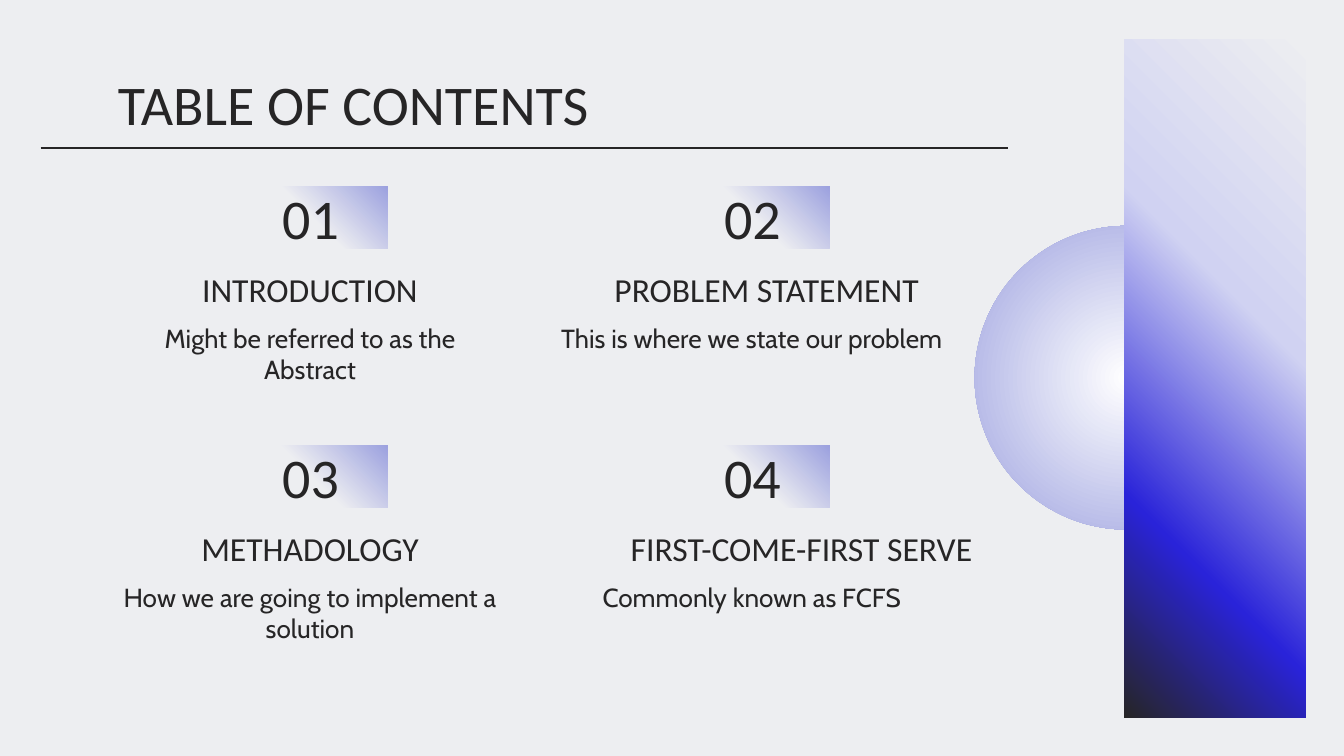
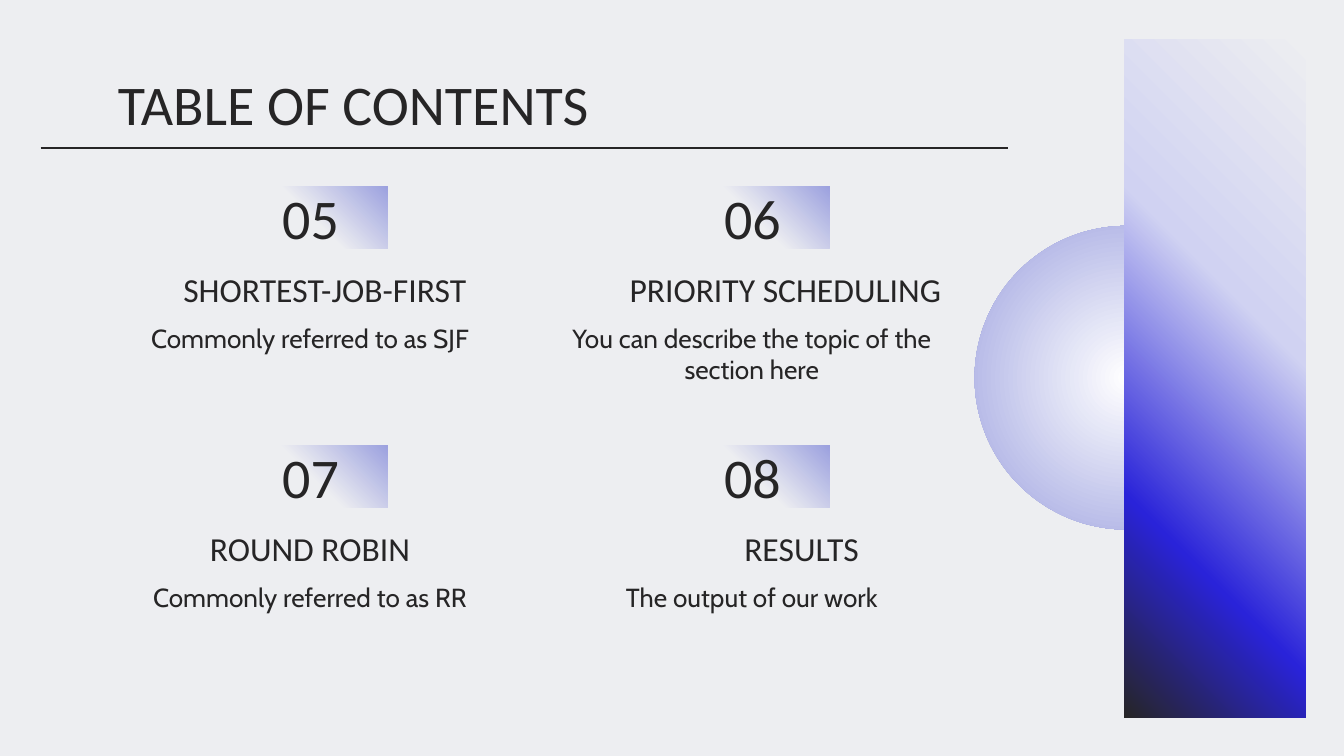
"""Build two table of contents slides with numbered sections."""
from lxml.etree import SubElement
from pptx import Presentation
from pptx.dml.color import RGBColor
from pptx.enum.shapes import MSO_CONNECTOR, MSO_SHAPE
from pptx.enum.text import MSO_ANCHOR, PP_ALIGN
from pptx.oxml import parse_xml
from pptx.oxml.ns import nsdecls, qn
from pptx.util import Cm, Pt

BACKGROUND = "EDEEF1"
INK = "262526"
LAVENDER = "9CA1DF"
HEADING_FONT = "Calibri"
BODY_FONT = "Cabin"

TILE_STOPS = [(0, BACKGROUND), (50, BACKGROUND), (100, LAVENDER)]
BAR_STOPS = [(0, BACKGROUND), (38, "D0D2F2"), (74, "2923D9"), (100, INK)]
CIRCLE_STOPS = [(0, "FFFFFF"), (100, LAVENDER)]

COLUMN_LEFT, COLUMN_PITCH, COLUMN_WIDTH = 1.96, 8.35, 7.8
ROW_PITCH = 4.9

CONTENTS = [
    [
        ("INTRODUCTION", "Might be referred to as the Abstract", COLUMN_WIDTH),
        ("PROBLEM STATEMENT", "This is where we state our problem", 8.36),
        ("METHADOLOGY", "How we are going to implement a solution", COLUMN_WIDTH),
        ("FIRST-COME-FIRST SERVE", "Commonly known as FCFS", 9.68),
    ],
    [
        ("SHORTEST-JOB-FIRST", "Commonly referred to as SJF", 8.36),
        ("PRIORITY SCHEDULING", "You can describe the topic of the section here", 9.07),
        ("ROUND ROBIN", "Commonly referred to as RR", COLUMN_WIDTH),
        ("RESULTS", "The output of our work", 9.68),
    ],
]


def fill_gradient(shape, stops, angle=None):
    """Fill a shape with a linear gradient, or a radial one when no angle is given."""
    stop_xml = "".join(
        f'<a:gs pos="{position * 1000}"><a:srgbClr val="{color}"/></a:gs>'
        for position, color in stops
    )
    if angle is None:
        direction = ('<a:path path="circle"><a:fillToRect l="50000" t="50000" '
                     'r="50000" b="50000"/></a:path>')
    else:
        direction = f'<a:lin ang="{angle * 60000}" scaled="0"/>'
    shape.shadow.inherit = False
    shape.line.fill.background()
    shape.fill.background()
    properties = shape._element.spPr
    properties.replace(properties.find(qn("a:noFill")), parse_xml(
        f'<a:gradFill {nsdecls("a")} rotWithShape="1">'
        f'<a:gsLst>{stop_xml}</a:gsLst>{direction}</a:gradFill>'
    ))


def write_text(shape, text, size, font=HEADING_FONT, alignment=PP_ALIGN.CENTER,
               anchor=MSO_ANCHOR.TOP):
    """Write one formatted paragraph into a shape."""
    frame = shape.text_frame
    frame.word_wrap = True
    frame.vertical_anchor = anchor
    frame.margin_left = frame.margin_right = Cm(0.25)
    frame.margin_top = frame.margin_bottom = Cm(0.25)
    frame.text = text
    paragraph = frame.paragraphs[0]
    paragraph.alignment = alignment
    run_font = paragraph.runs[0].font
    run_font.name = font
    run_font.size = Pt(size)
    run_font.color.rgb = RGBColor.from_string(INK)


presentation = Presentation()
presentation.slide_width = Cm(25.4)
presentation.slide_height = Cm(14.29)

for slide_index, sections in enumerate(CONTENTS):
    slide = presentation.slides.add_slide(presentation.slide_layouts[6])
    slide.background.fill.solid()
    slide.background.fill.fore_color.rgb = RGBColor.from_string(BACKGROUND)
    shapes = slide.shapes

    circle = shapes.add_shape(MSO_SHAPE.OVAL, Cm(18.42), Cm(4.27), Cm(5.74), Cm(5.74))
    fill_gradient(circle, CIRCLE_STOPS)

    title = shapes.add_textbox(Cm(1.98), Cm(1.07), Cm(21.44), Cm(1.6))
    write_text(title, "TABLE OF CONTENTS", 30, alignment=PP_ALIGN.LEFT)

    for section_index, (heading, description, heading_width) in enumerate(sections):
        row, column = divmod(section_index, 2)
        left = COLUMN_LEFT + column * COLUMN_PITCH
        row_offset = row * ROW_PITCH
        number = slide_index * len(sections) + section_index + 1

        description_box = shapes.add_textbox(
            Cm(left), Cm(5.84 + row_offset), Cm(COLUMN_WIDTH), Cm(1.6))
        write_text(description_box, description, 14, font=BODY_FONT)

        number_tile = shapes.add_shape(
            MSO_SHAPE.RECTANGLE, Cm(left + 2.45), Cm(3.52 + row_offset), Cm(2.92), Cm(1.17))
        fill_gradient(number_tile, TILE_STOPS, 315)
        write_text(number_tile, f"{number:02d}", 30, anchor=MSO_ANCHOR.MIDDLE)

        heading_box = shapes.add_textbox(
            Cm(left), Cm(4.93 + row_offset), Cm(heading_width), Cm(1.17))
        write_text(heading_box, heading, 18, anchor=MSO_ANCHOR.BOTTOM)

    title_rule = shapes.add_connector(
        MSO_CONNECTOR.STRAIGHT, Cm(0.77), Cm(2.8), Cm(19.05), Cm(2.8))
    title_rule.line.color.rgb = RGBColor.from_string(INK)
    title_rule.line.width = Pt(1.5)
    SubElement(title_rule._element.spPr, qn("a:effectLst"))

    side_bar = shapes.add_shape(
        MSO_SHAPE.RECTANGLE, Cm(16.55), Cm(5.44), Cm(12.83), Cm(3.43))
    side_bar.rotation = 90
    fill_gradient(side_bar, BAR_STOPS, 45)

presentation.save("out.pptx")
